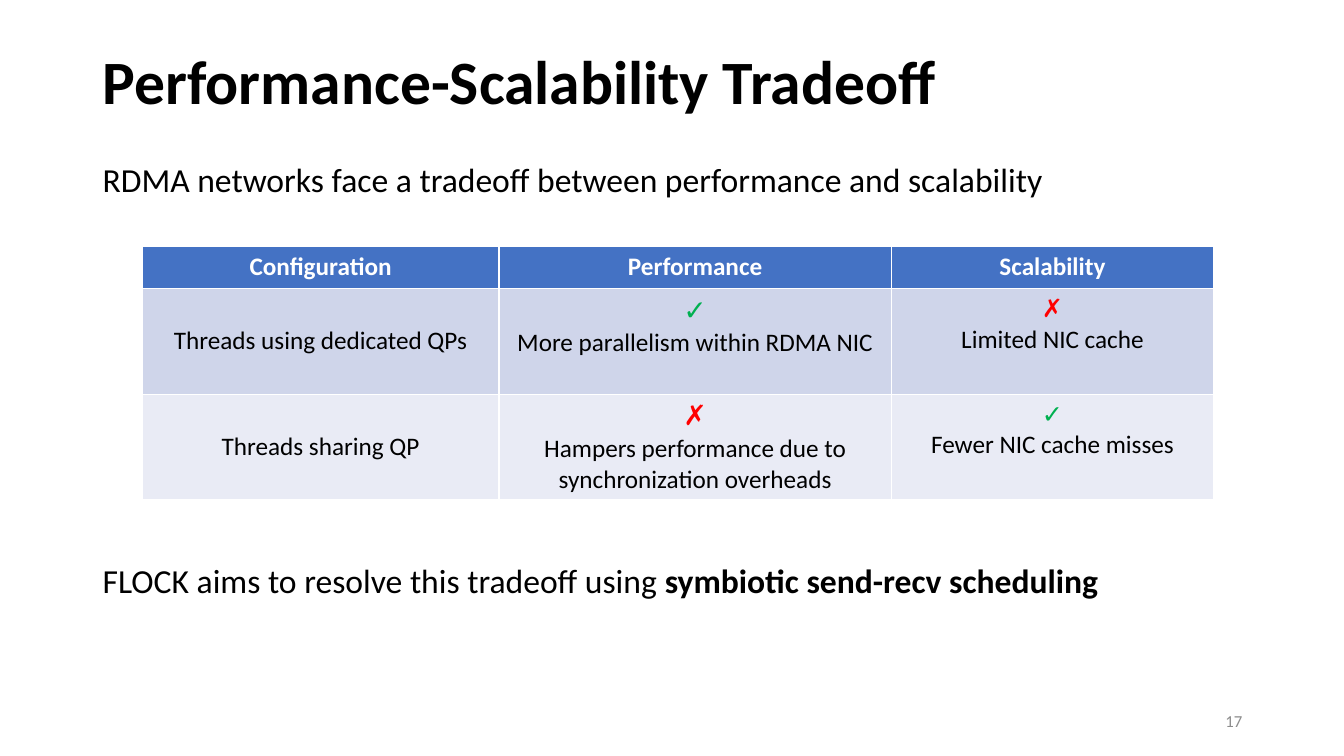
import pptx
import pptx.util
import pptx.dml.color
import pptx.enum.text

Inch, Pt = pptx.util.Inches, pptx.util.Pt
Color = pptx.dml.color.RGBColor
Align = pptx.enum.text.PP_ALIGN
Anchor = pptx.enum.text.MSO_ANCHOR

BLACK = Color(0x00, 0x00, 0x00)
WHITE = Color(0xFF, 0xFF, 0xFF)
GRAY = Color(0x8C, 0x8C, 0x8C)
GREEN = Color(0x00, 0xB0, 0x50)
RED = Color(0xFF, 0x00, 0x00)
BLUE = Color(0x44, 0x72, 0xC4)
BANDS = [Color(0xCF, 0xD5, 0xEA), Color(0xE9, 0xEB, 0xF5)]

WIDE, HIGH = 13.33, 7.5
LEFT, SPAN = 0.92, 11.5
COLS = [3.54, 3.89, 3.2]
ROWS = [0.42, 1.05, 1.05]
GRID = (1.41, 2.44, sum(COLS), sum(ROWS))
SIZES = [18, 20, 18]

TITLE = "Performance-Scalability Tradeoff"
LEAD = "RDMA networks face a tradeoff between performance and scalability"
AIM = "FLOCK aims to resolve this tradeoff using "
KEY = "symbiotic send-recv scheduling"
PAGE = "17"
HEADS = ["Configuration", "Performance", "Scalability"]
BODY = [
    [("", "Threads using dedicated QPs"),
     ("✓", "More parallelism within RDMA NIC"),
     ("✗", "Limited NIC cache")],
    [("", "Threads sharing QP"),
     ("✗", "Hampers performance due to synchronization overheads"),
     ("✓", "Fewer NIC cache misses")],
]
MARKS = {"✓": (GREEN, False), "✗": (RED, True)}


def style(obj, values):
    for name, value in values.items():
        setattr(obj, name, value)


def write(frame, paras, **form):
    for num, runs in enumerate(paras):
        para = frame.add_paragraph() if num else frame.paragraphs[0]
        style(para, form)
        for text, size, color, bold in runs:
            run = para.add_run()
            run.text = text
            style(run.font, {"name": "Calibri", "size": Pt(size), "bold": bold})
            run.font.color.rgb = color


def label(slide, box, paras, anchor, **form):
    frame = slide.shapes.add_textbox(*map(Inch, box)).text_frame
    style(frame, {"word_wrap": True, "vertical_anchor": anchor})
    write(frame, paras, **form)
    return frame


def fill(cell, color, paras, anchor):
    cell.fill.solid()
    cell.fill.fore_color.rgb = color
    cell.vertical_anchor = anchor
    write(cell.text_frame, paras, alignment=Align.CENTER)


def chart(slide):
    table = slide.shapes.add_table(len(ROWS), len(COLS), *map(Inch, GRID)).table
    for col, width in zip(table.columns, COLS):
        col.width = Inch(width)
    for row, height in zip(table.rows, ROWS):
        row.height = Inch(height)
    for x, head in enumerate(HEADS):
        fill(table.cell(0, x), BLUE, [[(head, 18, WHITE, True)]], Anchor.TOP)
    for y, (line, band) in enumerate(zip(BODY, BANDS), 1):
        for x, (mark, text) in enumerate(line):
            paras = [[(mark, SIZES[x], *MARKS[mark])]] if mark else []
            paras.append([(text, 18, BLACK, False)])
            fill(table.cell(y, x), band, paras, Anchor.TOP if mark else Anchor.MIDDLE)


def main():
    """Build the tradeoff slide."""
    deck = pptx.Presentation()
    style(deck, {"slide_width": Inch(WIDE), "slide_height": Inch(HIGH)})
    slide = deck.slides.add_slide(deck.slide_layouts[6])
    label(slide, (LEFT, 0.4, SPAN, 0.87), [[(TITLE, 44, BLACK, True)]],
          Anchor.MIDDLE, line_spacing=0.9)
    lines = [[(LEAD, 24, BLACK, False)],
             [(AIM, 24, BLACK, False), (KEY, 24, BLACK, True)]]
    body = label(slide, (LEFT, 1.57, SPAN, 4.96), lines, Anchor.TOP, line_spacing=0.9)
    body.paragraphs[1].space_before = Pt(261)
    chart(slide)
    label(slide, (LEFT + SPAN - 3, 6.95, 3, 0.4), [[(PAGE, 12, GRAY, False)]],
          Anchor.MIDDLE, alignment=Align.RIGHT)
    deck.save("out.pptx")


if __name__ == "__main__":
    main()
